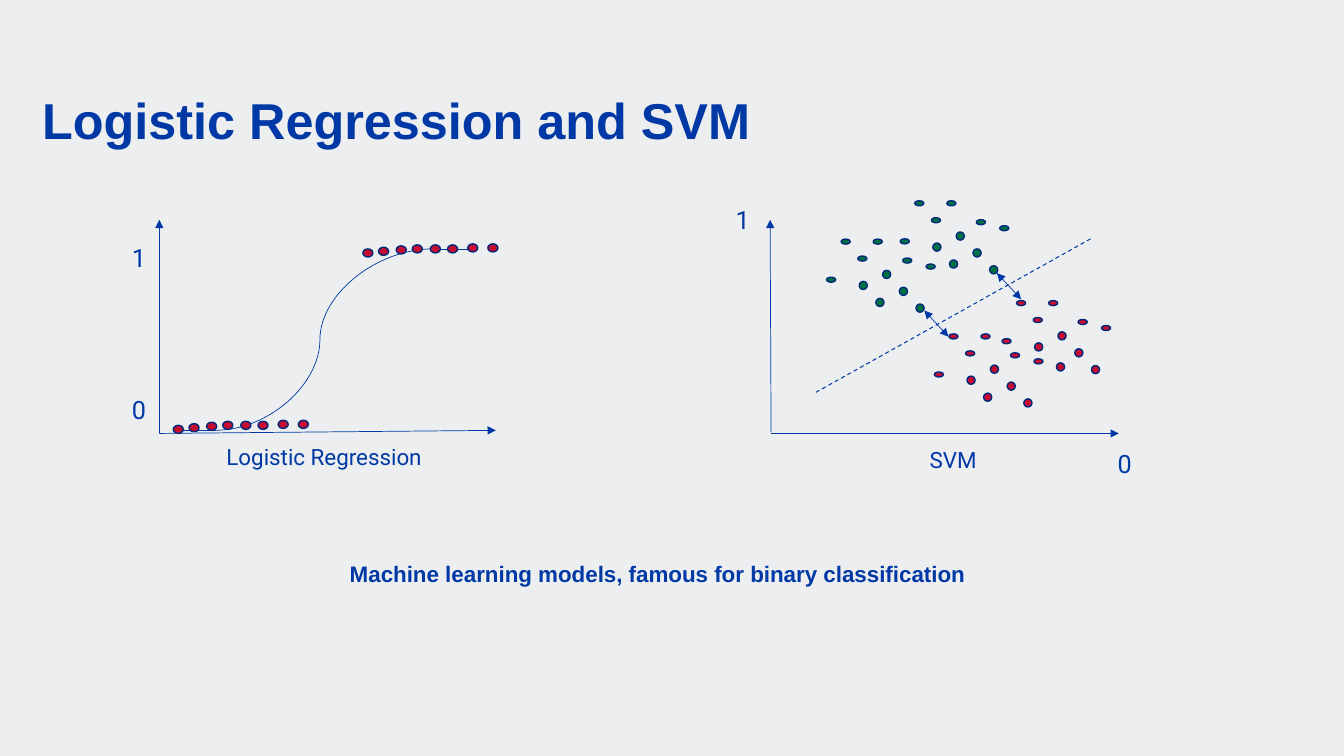
from lxml import etree
from pptx import Presentation
from pptx.dml import color
from pptx.enum import dml, shapes, text
from pptx.oxml import ns
from pptx.util import Pt

COLORS = {
    "background": "EDEEEF",
    "blue": "0039A6",
    "outline": "002A7B",
    "red": "C60C30",
    "green": "006F42",
}

TITLE = ("Logistic Regression and SVM", 30.2, 67.7, 900, 39.6)
CAPTION = (
    "Machine learning models, famous for binary classification",
    38.9, 397.7, 861.8, 24,
)
AXIS_LABELS = [
    ("1", 87.1, 169.2),
    ("0", 87.1, 278.2),
    ("1", 518.4, 142.6),
    ("0", 791.3, 316.8),
]
CHART_NAMES = [("Logistic Regression", 140.4, 313.2), ("SVM", 589.7, 315.4)]

AXES = [
    (113.8, 309.6, 354.2, 307.4),
    (113.8, 309.6, 113.8, 157),
    (550.8, 309.6, 799.2, 309.6),
    (550.8, 308.9, 550.1, 157),
]
CURVE = (154.1, 307.4, 309.6, 177.8)
CURVE_BEND = 47900
CURVE_ENDS = [(124.6, 307.4, 154.1, 307.4), (309.6, 177.8, 339.1, 177.8)]
BOUNDARY = (779, 170.6, 581.8, 280.8)
MARGINS = [(660.2, 221.8, 677.5, 240.5), (712.1, 195.1, 729.4, 213.8)]

ROW_DOT = (7.2, 5.8)
ROW_STARTS = [(259.2, 177.8), (123.8, 303.8)]
ROW_OFFSETS = [
    (0, 0), (11.2, -1.2), (23.8, -2.2), (35.3, -2.9),
    (48.2, -2.9), (60.5, -2.9), (74.9, -3.6), (89.3, -3.6),
]

FLAT_DOT = (6.5, 3.6)
ROUND_DOT = (5.8, 5.8)
FLAT_OFFSETS = [
    (0, 0), (10.4, -27.2), (22.3, -15.1),
    (33.3, -27.2), (71.1, -9.4), (54.4, -13.7),
]
ROUND_OFFSETS = [(23.3, 3), (35.2, 15.1), (40, -4.9), (52, 7.2), (63.9, 19.2)]
SHIFTED_OFFSETS = [(23.3, 3), (38.9, 17.3), *ROUND_OFFSETS[2:]]
CLUSTERS = [
    ("green", 590.4, 198, ROUND_OFFSETS),
    ("red", 667.4, 265.7, ROUND_OFFSETS),
    ("red", 715.7, 241.9, SHIFTED_OFFSETS),
    ("green", 643, 170.6, ROUND_OFFSETS),
]


def rgb(name):
    return color.RGBColor.from_string(COLORS[name])


def add_line(page, ends, width=0.5, arrows=(), kind=shapes.MSO_CONNECTOR.STRAIGHT):
    line = page.shapes.add_connector(kind, *(Pt(value) for value in ends))
    line.line.color.rgb = rgb("blue")
    line.line.width = Pt(width)
    for arrow in arrows:
        etree.SubElement(line.line._get_or_add_ln(), ns.qn(f"a:{arrow}"), type="triangle")
    etree.SubElement(line._element.spPr, ns.qn("a:effectLst"))
    return line


def add_dots(page, fill, left, top, size, offsets):
    for across, down in offsets:
        dot = page.shapes.add_shape(
            shapes.MSO_SHAPE.OVAL, Pt(left + across), Pt(top + down), Pt(size[0]), Pt(size[1])
        )
        dot.shadow.inherit = False
        dot.fill.solid()
        dot.fill.fore_color.rgb = rgb(fill)
        dot.line.color.rgb = rgb("outline")
        dot.line.width = Pt(1)


def add_text(page, words, left, top, width, height, font, size, bold=False,
             align=text.PP_ALIGN.LEFT, anchor=text.MSO_ANCHOR.TOP,
             margins=(7.2, 3.6), wrap=True):
    box = page.shapes.add_textbox(Pt(left), Pt(top), Pt(width), Pt(height))
    frame = box.text_frame
    frame.word_wrap = wrap
    frame.vertical_anchor = anchor
    frame.margin_left = frame.margin_right = Pt(margins[0])
    frame.margin_top = frame.margin_bottom = Pt(margins[1])
    para = frame.paragraphs[0]
    para.text = words
    para.alignment = align
    para.font.name = font
    para.font.size = Pt(size)
    para.font.bold = bold
    para.font.color.rgb = rgb("blue")
    return para


def main():
    deck = Presentation()
    deck.slide_width, deck.slide_height = Pt(960), Pt(540)
    page = deck.slides.add_slide(deck.slide_layouts[6])
    page.background.fill.solid()
    page.background.fill.fore_color.rgb = rgb("background")

    title = add_text(page, *TITLE, "Arial", 36, bold=True,
                     anchor=text.MSO_ANCHOR.BOTTOM, margins=(0, 0))
    title.line_spacing = 0.9
    add_text(page, *CAPTION, "Arial", 16, bold=True, align=text.PP_ALIGN.CENTER,
             anchor=text.MSO_ANCHOR.MIDDLE, margins=(0, 0))

    for axis in AXES:
        add_line(page, axis, arrows=["tailEnd"])
    curve = add_line(page, CURVE, kind=shapes.MSO_CONNECTOR.CURVE)
    bends = curve._element.spPr.find(ns.qn("a:prstGeom")).find(ns.qn("a:avLst"))
    etree.SubElement(bends, ns.qn("a:gd"), name="adj1", fmla=f"val {CURVE_BEND}")
    for ends in CURVE_ENDS:
        add_line(page, ends)

    for left, top in ROW_STARTS:
        add_dots(page, "red", left, top, ROW_DOT, ROW_OFFSETS)
    for fill, left, top, round_offsets in CLUSTERS:
        add_dots(page, fill, left, top, FLAT_DOT, FLAT_OFFSETS)
        add_dots(page, fill, left, top, ROUND_DOT, round_offsets)

    boundary = add_line(page, BOUNDARY, width=0.75)
    boundary.line.dash_style = dml.MSO_LINE.DASH
    for margin in MARGINS:
        add_line(page, margin, arrows=["headEnd", "tailEnd"])

    for words, left, top in AXIS_LABELS:
        add_text(page, words, left, top, 23.8, 28.8, "Roboto", 18, wrap=False)
    for words, left, top in CHART_NAMES:
        add_text(page, words, left, top, 182.2, 26.6, "Roboto", 16,
                 align=text.PP_ALIGN.CENTER)

    deck.save("out.pptx")


if __name__ == "__main__":
    main()
